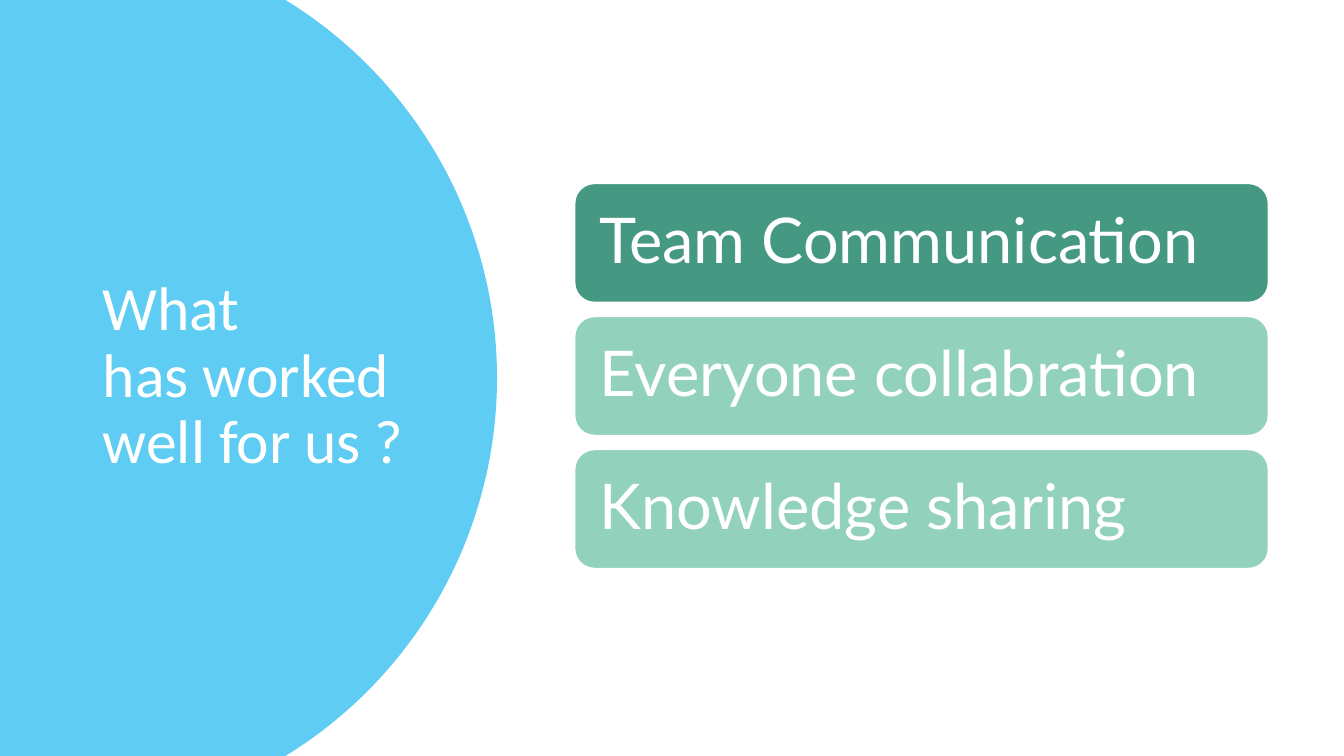
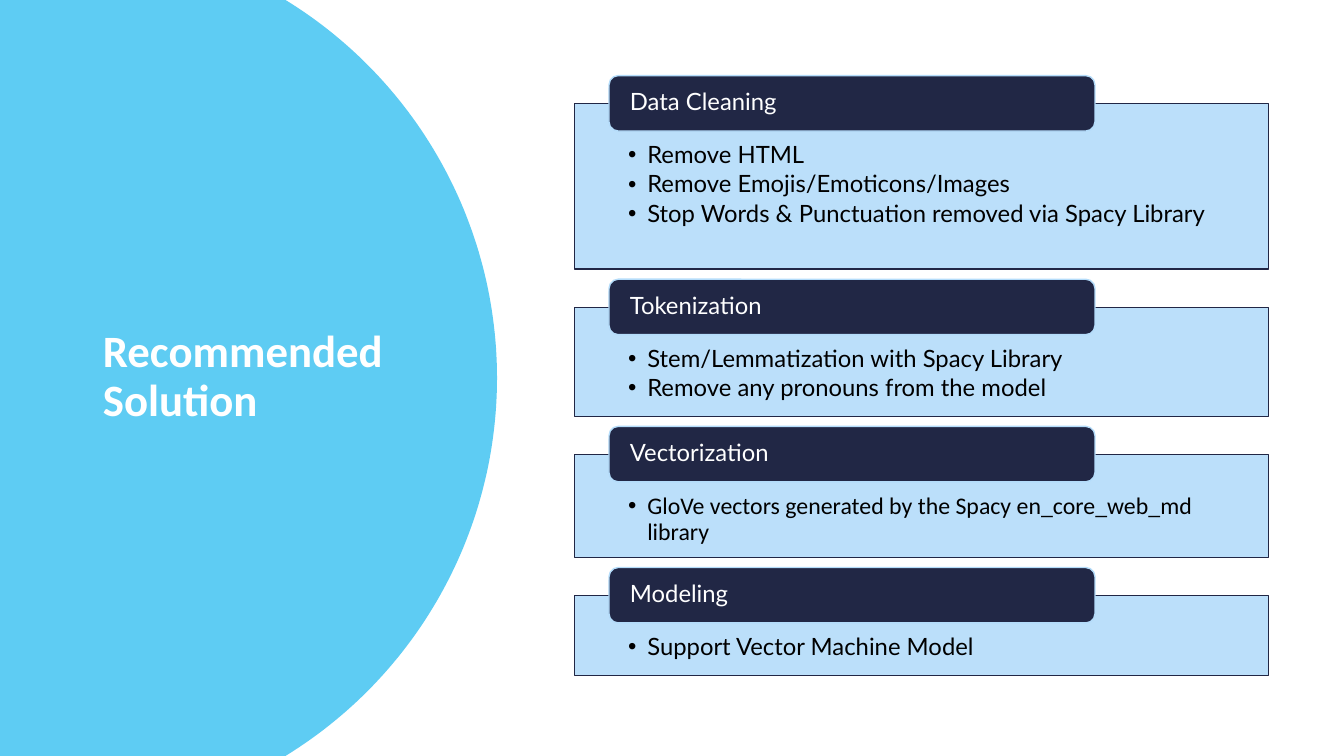
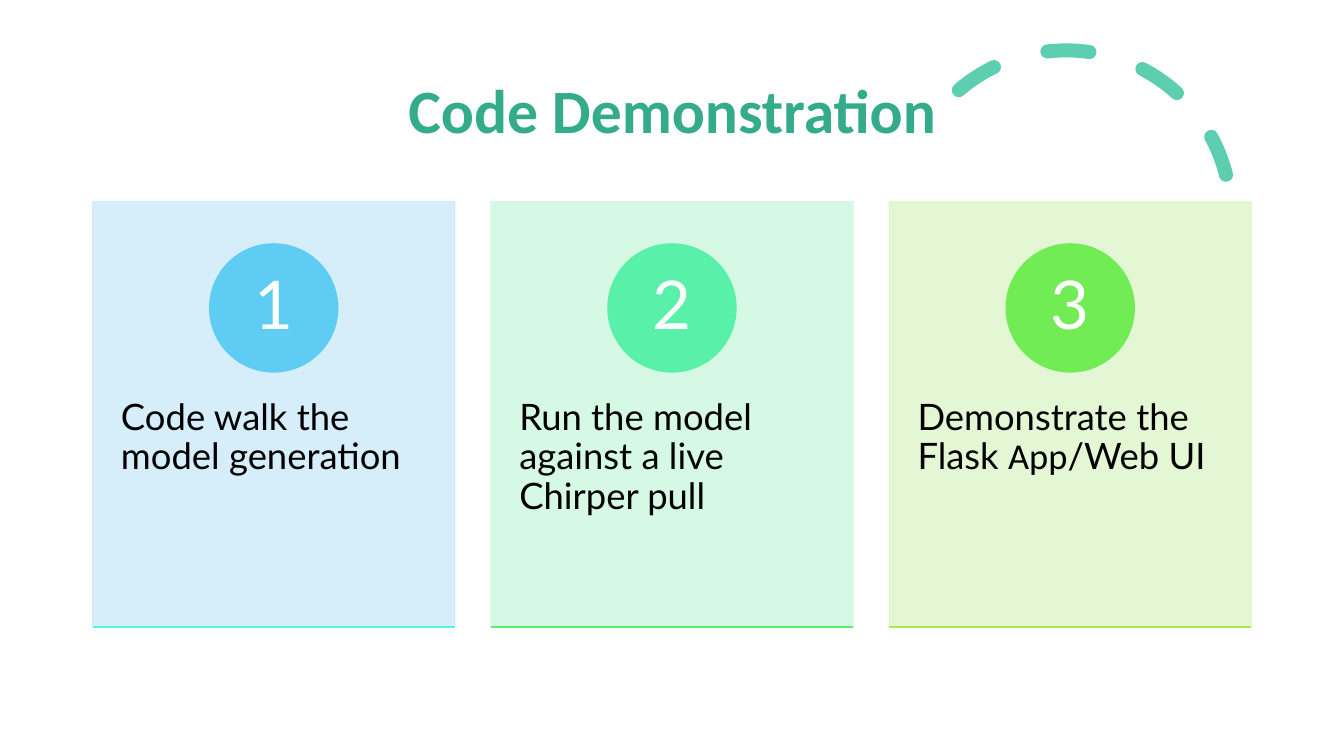
import math

from lxml import etree
from pptx import Presentation
from pptx import util as u
from pptx.dml.color import RGBColor
from pptx.enum import dml, shapes, text
from pptx.oxml.ns import qn

PX = 9144  # 100 px to the inch
WIDTH, HEIGHT = 1333, 750
NO_BREAK_SPACE = chr(160)

WHITE = RGBColor(0xFF, 0xFF, 0xFF)
BLACK = RGBColor(0x00, 0x00, 0x00)
SKY = RGBColor(0x5E, 0xCC, 0xF3)
PALE_BLUE = RGBColor(0xB4, 0xDC, 0xFA)
NAVY = RGBColor(0x21, 0x27, 0x45)
DARK_GREEN = RGBColor(0x45, 0x98, 0x81)
SOFT_GREEN = RGBColor(0x92, 0xD2, 0xBD)
TITLE_GREEN = RGBColor(0x34, 0xAC, 0x8B)
TEAL = RGBColor(0x5D, 0xCE, 0xAF)

TITLE_FONT, BODY_FONT = "Calibri", "Lato"
LEFT, MIDDLE = text.PP_ALIGN.LEFT, text.MSO_ANCHOR.MIDDLE
CENTER, TOP = text.PP_ALIGN.CENTER, text.MSO_ANCHOR.TOP
RECTANGLE = shapes.MSO_SHAPE.RECTANGLE
ROUNDED = shapes.MSO_SHAPE.ROUNDED_RECTANGLE
CONTENT_LEFT, CONTENT_WIDTH = 570, 688

ACHIEVEMENTS = [
    ("Team Communication", DARK_GREEN),
    ("Everyone collabration", SOFT_GREEN),
    ("Knowledge sharing", SOFT_GREEN),
]

# heading, height of the box, font, bullets
STAGES = [
    ("Data Cleaning", 164, BODY_FONT,
     ["Remove HTML", "Remove Emojis/Emoticons/Images",
      "Stop Words & Punctuation removed via Spacy Library"]),
    ("Tokenization", 108, BODY_FONT,
     ["Stem/Lemmatization with Spacy Library", "Remove any pronouns from the model"]),
    ("Vectorization", 102, TITLE_FONT,
     ["GloVe vectors generated by the Spacy en_core_web_md library"]),
    ("Modeling", 79, BODY_FONT, ["Support Vector Machine Model"]),
]

# runs of text, card colour, circle colour, base line colour
DEMO_STEPS = [
    ([("Code walk the model generation", BODY_FONT)],
     RGBColor(0xD2, 0xEC, 0xFA), SKY, RGBColor(0x5B, 0xF1, 0xE2)),
    ([("Run the model against a live Chirper pull", BODY_FONT)],
     RGBColor(0xD1, 0xF9, 0xE3), RGBColor(0x59, 0xF0, 0xA9), RGBColor(0x57, 0xEE, 0x70)),
    ([("Demonstrate the Flask ", BODY_FONT), ("App", TITLE_FONT), ("/Web UI", BODY_FONT)],
     RGBColor(0xE1, 0xF7, 0xD0), RGBColor(0x72, 0xEC, 0x54), RGBColor(0xA7, 0xEA, 0x52)),
]


def px(*lengths):
    return [u.Emu(length * PX) for length in lengths]


def add_bullet(paragraph):
    properties = paragraph._p.get_or_add_pPr()
    indent = 19 * PX
    properties.set("marL", str(indent))
    properties.set("indent", str(-indent))
    etree.SubElement(properties, qn("a:buFont")).set("typeface", "Arial")
    etree.SubElement(properties, qn("a:buChar")).set("char", "•")


def write(shape, paragraphs, *, size, color, font=BODY_FONT, bold=False, align=LEFT,
          anchor=MIDDLE, insets=(10, 5, 10, 5), space_after=0, bullets=False):
    """Fill a shape with paragraphs, each a string or a list of (text, font) runs."""
    frame = shape.text_frame
    frame.word_wrap = True
    frame.auto_size = text.MSO_AUTO_SIZE.NONE
    frame.vertical_anchor = anchor
    (frame.margin_left, frame.margin_top,
     frame.margin_right, frame.margin_bottom) = px(*insets)
    for index, content in enumerate(paragraphs):
        paragraph = frame.add_paragraph() if index else frame.paragraphs[0]
        paragraph.alignment = align
        paragraph.line_spacing = 0.9
        paragraph.space_after = u.Pt(space_after)
        if bullets:
            add_bullet(paragraph)
        runs = [(content, font)] if isinstance(content, str) else content
        for words, run_font in runs:
            run = paragraph.add_run()
            run.text = words
            run.font.name = run_font
            run.font.size = u.Pt(size)
            run.font.bold = bold
            run.font.color.rgb = color


def set_opacity(parent, percent):
    color = parent.find(qn("a:solidFill")).find(qn("a:srgbClr"))
    etree.SubElement(color, qn("a:alpha")).set("val", str(percent * 1000))


def paint(shape, fill, line=None, opacity=100):
    """Colour a shape; the opacity also holds for a line of the fill's colour."""
    shape.shadow.inherit = False
    shape.fill.solid()
    shape.fill.fore_color.rgb = fill
    if line is None:
        shape.line.fill.background()
    else:
        shape.line.color.rgb = line
        shape.line.width = u.Pt(1)
    if opacity < 100:
        properties = shape.element.spPr
        set_opacity(properties, opacity)
        if line == fill:
            set_opacity(properties.find(qn("a:ln")), opacity)


def add_box(slide, kind, bounds, fill, line=None, opacity=100):
    shape = slide.shapes.add_shape(kind, *px(*bounds))
    paint(shape, fill, line, opacity)
    return shape


def add_line(slide, left, top, width, color):
    line = slide.shapes.add_connector(
        shapes.MSO_CONNECTOR.STRAIGHT, *px(left, top, left + width, top))
    line.line.color.rgb = color
    line.line.width = u.Pt(1)
    etree.SubElement(line.element.spPr, qn("a:effectLst"))


def add_titled_slide(presentation, title, bounds, **style):
    slide = presentation.slides.add_slide(presentation.slide_layouts[5])
    placeholder = slide.shapes.title
    (placeholder.left, placeholder.top,
     placeholder.width, placeholder.height) = px(*bounds)
    write(placeholder, [title], font=TITLE_FONT, **style)
    return slide


def add_panel_slide(presentation, title, **style):
    """Add a slide with its title on a blue panel that has a round right edge."""
    slide = add_titled_slide(presentation, title, (92, 70, 323, 609), color=WHITE, **style)
    radius, center_x, center_y, steps = 440, 53, HEIGHT / 2, 120
    limit = math.asin(center_y / radius)
    angles = [limit * (2 * step / steps - 1) for step in range(steps + 1)]
    edge = [(center_x + radius * math.cos(angle), center_y + radius * math.sin(angle))
            for angle in angles]
    builder = slide.shapes.build_freeform(0, 0)
    builder.add_line_segments([(x * PX, y * PX) for x, y in edge + [(0, HEIGHT)]], close=True)
    panel = builder.convert_to_shape()
    paint(panel, SKY)
    slide.shapes.title.element.addprevious(panel.element)
    return slide


def add_achievements(slide):
    top, height, pitch = 182, 118, 132
    for index, (label, color) in enumerate(ACHIEVEMENTS):
        bounds = (CONTENT_LEFT, top + index * pitch, CONTENT_WIDTH, height)
        box = add_box(slide, ROUNDED, bounds, color, WHITE)
        write(box, [label], size=45, color=WHITE, insets=(19, 19, 19, 19))


def add_stages(slide):
    top, gap, overlap = 103, 38, 28
    for heading, height, font, bullets in STAGES:
        box = add_box(slide, RECTANGLE, (CONTENT_LEFT, top, CONTENT_WIDTH, height),
                      PALE_BLUE, NAVY, opacity=90)
        write(box, bullets, size=17, color=BLACK, font=font, anchor=TOP,
              insets=(53, 39, 53, 13), space_after=2.5, bullets=True)
        tab = add_box(slide, ROUNDED, (CONTENT_LEFT + 34, top - overlap, 482, 55),
                      NAVY, PALE_BLUE)
        write(tab, [heading], size=17, color=WHITE, insets=(18, 0, 18, 0))
        top += height + gap


def add_dashed_arc(slide):
    arc = slide.shapes.add_shape(shapes.MSO_SHAPE.ARC, *px(894, 50, 327, 327))
    arc.shadow.inherit = False
    arc.adjustments[0], arc.adjustments[1] = 146.13, 0
    arc.rotation = 345.8
    arc.fill.background()
    arc.line.color.rgb = TEAL
    arc.line.width = u.Pt(10)
    arc.line.dash_style = dml.MSO_LINE.DASH
    arc.element.spPr.find(qn("a:ln")).set("cap", "rnd")


def add_demo_steps(slide):
    left, top, width, height, pitch, diameter = 92, 200, 359, 422, 395, 127
    for number, (runs, card_color, circle_color, base_color) in enumerate(DEMO_STEPS, 1):
        card = add_box(slide, RECTANGLE, (left, top, width, height),
                       card_color, card_color, opacity=90)
        write(card, [runs], size=26, color=BLACK, anchor=TOP, insets=(28, 196, 28, 36))
        circle_left = left + (width - diameter) // 2
        circle = add_box(slide, shapes.MSO_SHAPE.OVAL,
                         (circle_left, top + 42, diameter, diameter),
                         circle_color, circle_color)
        write(circle, [str(number)], size=48, color=WHITE, align=CENTER,
              insets=(10, 1, 10, 1))
        add_line(slide, left, top + height, width, base_color)
        left += pitch


def main():
    presentation = Presentation()
    presentation.slide_width, presentation.slide_height = px(WIDTH, HEIGHT)

    question = f"What has{NO_BREAK_SPACE}worked well for us ?"
    add_achievements(add_panel_slide(presentation, question, size=44))
    solution = f"Recommended{NO_BREAK_SPACE}Solution"
    add_stages(add_panel_slide(presentation, solution, size=32, bold=True))

    demonstration = add_titled_slide(
        presentation, "Code Demonstration", (92, 40, 1150, 145),
        size=44, bold=True, color=TITLE_GREEN, align=CENTER)
    add_dashed_arc(demonstration)
    add_demo_steps(demonstration)

    presentation.save("out.pptx")


if __name__ == "__main__":
    main()
